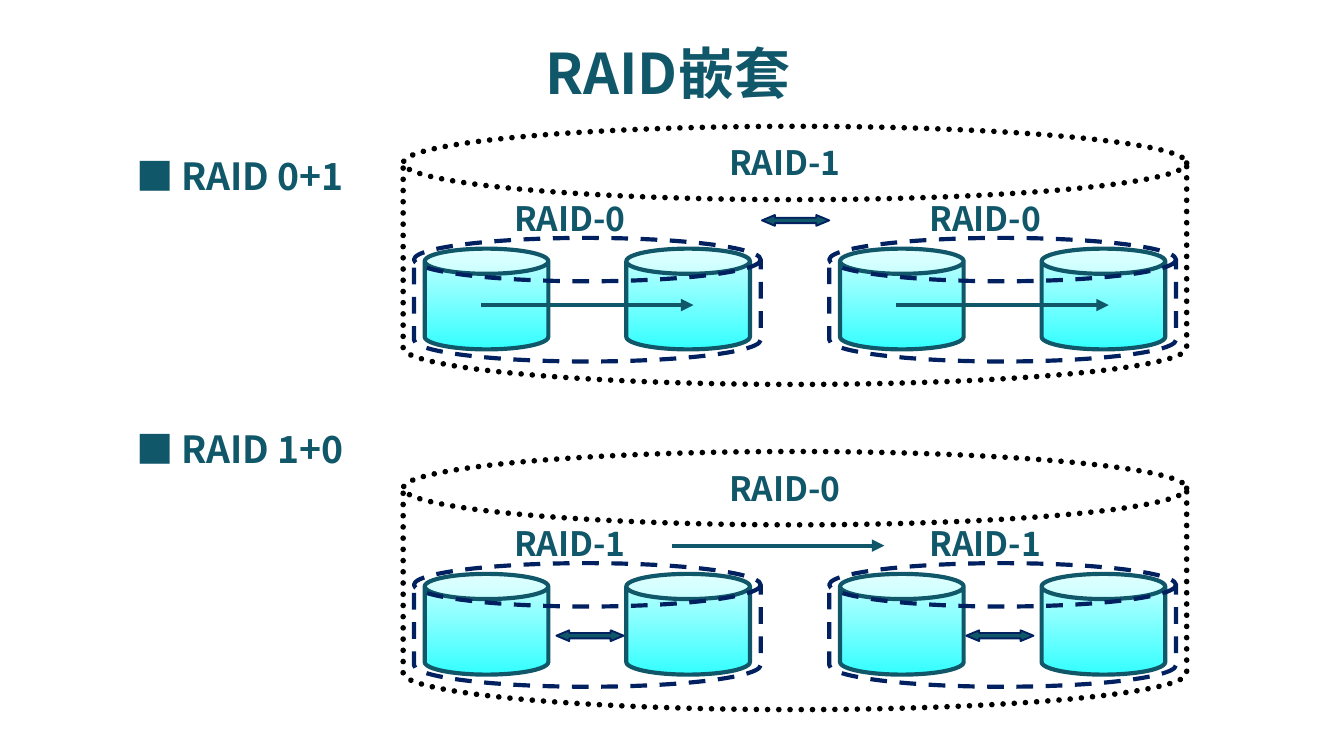
from lxml import etree
from pptx import Presentation
from pptx import util as u
from pptx.dml import color
from pptx.enum import dml, shapes, text
from pptx.oxml import ns

TEAL, NAVY, BLACK = "11576A", "002060", "000000"
FONT = "Noto Sans CJK SC"
SYMBOL_FONT = "Noto Sans CJK JP"
PAIR_LEFTS = (0.08, 3.17)
PAIR_WIDTH = 2.58


def rgb(value):
    return color.RGBColor.from_string(value)


def add_xml(parent, tag, **attributes):
    return etree.SubElement(parent, ns.qn(tag), attributes)


def box_inches(*lengths):
    return [u.Inches(length) for length in lengths]


def write(frame, words, size, align=None, font=FONT):
    frame.text = words
    para = frame.paragraphs[0]
    para.alignment = align
    para.font.size = u.Pt(size)
    para.font.bold = True
    para.font.name = font
    para.font.color.rgb = rgb(TEAL)
    # East Asian characters take their font from a separate element
    for span in para.runs:
        span.font.name = font
        add_xml(span.font._element, "a:ea", typeface=font)


def add_text(page, box, words, size, align=None, wrap=True, font=FONT):
    frame = page.shapes.add_textbox(*box_inches(*box)).text_frame
    frame.word_wrap = wrap
    write(frame, words, size, align, font)


def add_outlined(page, kind, box, adjustments, line, width, dash=None):
    shape = page.shapes.add_shape(kind, *box_inches(*box))
    shape.shadow.inherit = False
    for index, value in enumerate(adjustments):
        shape.adjustments[index] = value
    shape.fill.background()
    shape.line.color.rgb = rgb(line)
    shape.line.width = u.Pt(width)
    if dash:
        shape.line.dash_style = dash
    return shape


def add_can(page, box, adjustment, line, width, dash=None):
    return add_outlined(page, shapes.MSO_SHAPE.CAN, box, [adjustment],
                        line, width, dash)


def add_disk(page, left, top):
    disk = add_can(page, (left, top, 0.92, 0.75), 0.25, TEAL, 2.25)
    disk.fill.gradient()
    disk.fill.gradient_angle = 270
    for stop, value in zip(disk.fill.gradient_stops, ("CCFFFF", "33FFFF")):
        stop.color.rgb = rgb(value)


def add_stripe_arrow(page, left, top):
    """Single-headed arrow: data striped across members."""
    arrow = page.shapes.add_connector(
        shapes.MSO_CONNECTOR.STRAIGHT,
        *box_inches(left, top, left + 1.58, top))
    arrow.line.color.rgb = rgb(TEAL)
    arrow.line.width = u.Pt(2.25)
    add_xml(arrow.line._get_or_add_ln(), "a:tailEnd", type="triangle")
    add_xml(arrow._element.spPr, "a:effectLst")


def add_mirror_arrow(page, left, top):
    """Double-headed arrow: data mirrored between members."""
    arrow = add_outlined(page, shapes.MSO_SHAPE.LEFT_RIGHT_ARROW,
                         (left, top, 0.5, 0.08), (0.5, 1.2), NAVY, 1)
    arrow.fill.solid()
    arrow.fill.fore_color.rgb = rgb(TEAL)


def add_level(page, left, top, words):
    add_text(page, (left, top, 1.12, 0.4), words, 18,
             text.PP_ALIGN.CENTER, wrap=False)


def add_heading(page, left, top, words):
    add_text(page, (left + 0.33, top, 1.72, 0.47), words, 20)
    add_text(page, (left, top, 0.47, 0.44), "■", 20, font=SYMBOL_FONT)


def add_pair(page, left, top, level, striped, mirror_offset):
    """Two disks in a dashed can, with the level named above."""
    for offset in (0.08, 1.58):
        add_disk(page, left + offset, top + 0.08)
    add_level(page, left + 0.6, top - 0.35, level)
    if striped:
        add_stripe_arrow(page, left + 0.5, top + 0.5)
    add_can(page, (left, top, PAIR_WIDTH, 0.92), 0.351, NAVY, 2.25,
            dml.MSO_LINE.DASH)
    if not striped:
        add_mirror_arrow(page, left + mirror_offset, top + 0.5)


def add_array(page, left, top, outer, inner, striped_inside):
    """Dotted outer can holding two pairs of disks."""
    for pair_left, mirror_offset in zip(PAIR_LEFTS, (1.06, 1.02)):
        add_pair(page, left + pair_left, top + 0.83, inner,
                 striped_inside, mirror_offset)
    add_level(page, left + 2.28, top + 0.07, outer)
    if striped_inside:
        add_mirror_arrow(page, left + 2.67, top + 0.66)
    else:
        add_stripe_arrow(page, left + 2, top + 0.7)
    outline = add_can(page, (left, top, 5.83, 1.92), 0.284, BLACK, 3,
                      dml.MSO_LINE.ROUND_DOT)
    outline.line._get_or_add_ln().set("cap", "rnd")


def add_title(page, box, words):
    title = page.shapes.title
    title.left, title.top, title.width, title.height = box_inches(*box)
    title.text_frame.vertical_anchor = text.MSO_ANCHOR.MIDDLE
    write(title.text_frame, words, 30, text.PP_ALIGN.CENTER)


deck = Presentation()
# Widescreen, 16:9
deck.slide_width = u.Inches(10)
deck.slide_height = u.Inches(10 * 9 / 16)
page = deck.slides.add_slide(deck.slide_layouts[5])

add_title(page, (0.47, 0.26, 9, 0.56), "RAID嵌套")

# Heading top, array top, heading, outer level, inner level, inner striping
ARRAYS = (
    (1.09, 0.94, "RAID 0+1", "RAID-1", "RAID-0", True),
    (3.12, 3.36, "RAID 1+0", "RAID-0", "RAID-1", False),
)
for heading_top, array_top, heading, outer, inner, striped in ARRAYS:
    add_heading(page, 0.92, heading_top, heading)
    add_array(page, 3, array_top, outer, inner, striped)

deck.save("out.pptx")
